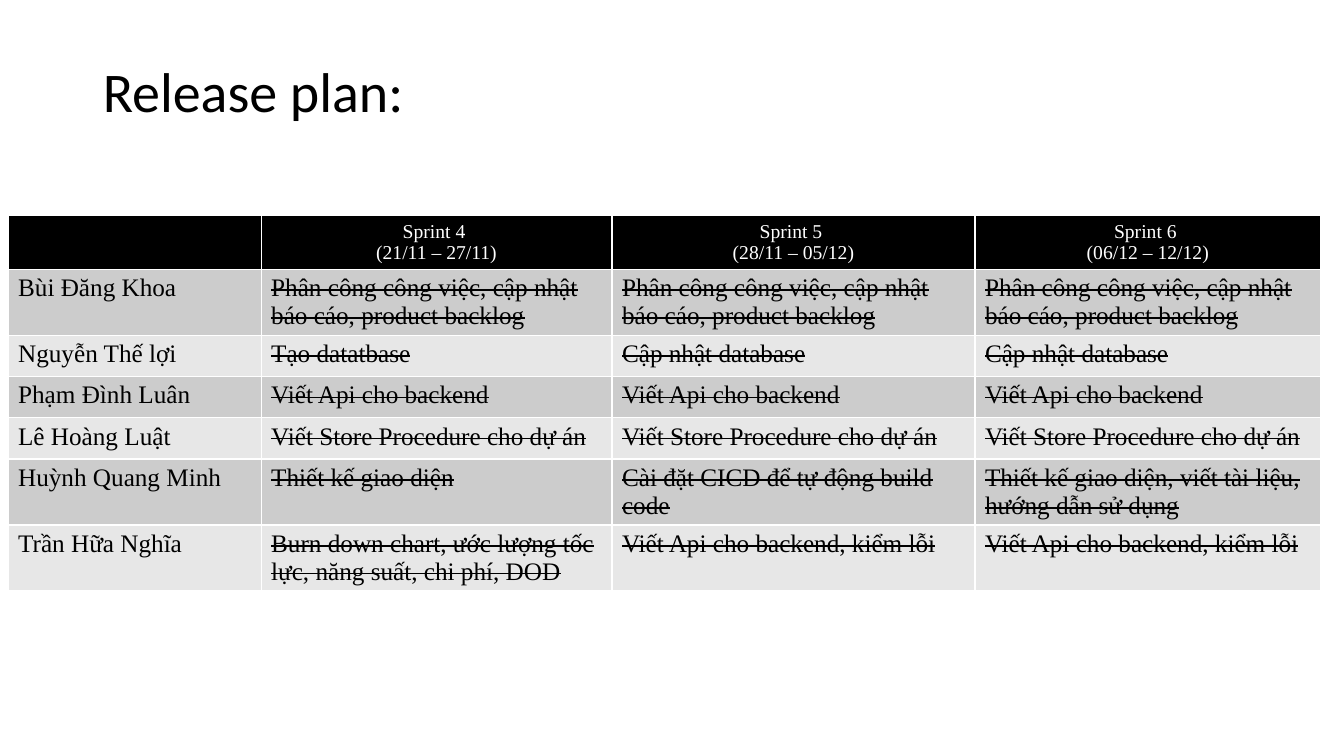
"""Build the release plan slide: a title above a table of sprint tasks per member."""
from dataclasses import dataclass

from pptx import Presentation
from pptx.dml.color import RGBColor
from pptx.enum.text import MSO_ANCHOR, MSO_AUTO_SIZE, PP_ALIGN
from pptx.util import Inches, Pt

MIDDLE = MSO_ANCHOR.MIDDLE
NO_AUTOFIT = MSO_AUTO_SIZE.NONE
LEFT, CENTER = PP_ALIGN.LEFT, PP_ALIGN.CENTER

HEADING = "Release plan:"
SPRINTS = [
    "",
    "Sprint 4 \n(21/11 – 27/11)",
    "Sprint 5 \n(28/11 – 05/12)",
    "Sprint 6 \n(06/12 – 12/12)",
]
COORDINATION = "Phân công công việc, cập nhật báo cáo, product backlog"
BACKEND = "Viết Api cho backend"
PROCEDURES = "Viết Store Procedure cho dự án"
BACKEND_FIXES = "Viết Api cho backend, kiểm lỗi"
MEMBERS = [
    ("Bùi Đăng Khoa", COORDINATION, COORDINATION, COORDINATION),
    ("Nguyễn Thế lợi", "Tạo datatbase", "Cập nhật database", "Cập nhật database"),
    ("Phạm Đình Luân", BACKEND, BACKEND, BACKEND),
    ("Lê Hoàng Luật", PROCEDURES, PROCEDURES, PROCEDURES),
    ("Huỳnh Quang Minh", "Thiết kế giao diện", "Cài đặt CICD để tự động build code",
     "Thiết kế giao diện, viết tài liệu, hướng dẫn sử dụng"),
    ("Trần Hữa Nghĩa", "Burn down chart, ước lượng tốc lực, năng suất, chi phí, DOD",
     BACKEND_FIXES, BACKEND_FIXES),
]
COLUMN_WIDTHS = [2.51, 3.48, 3.6, 3.43]
ROW_HEIGHT = 0.41


@dataclass(frozen=True)
class Theme:
    """Colours, fonts and type sizes of the slide."""
    black: RGBColor = RGBColor(0x00, 0x00, 0x00)
    white: RGBColor = RGBColor(0xFF, 0xFF, 0xFF)
    bands: tuple = (RGBColor(0xCC, 0xCC, 0xCC), RGBColor(0xE7, 0xE7, 0xE7))
    heading_font: str = "Calibri"
    table_font: str = "Times New Roman"
    heading_size: int = 40
    sprint_size: int = 14
    task_size: int = 18


THEME = Theme()


def style(paragraph, face, size, color, align):
    """Set the font and alignment of one paragraph."""
    paragraph.alignment = align
    paragraph.font.name = face
    paragraph.font.size = Pt(size)
    paragraph.font.bold = False
    paragraph.font.color.rgb = color


def fill_cell(cell, wording, background, size, color, align, done=False):
    """Write a cell, striking its wording through when the task is done."""
    cell.fill.solid()
    cell.fill.fore_color.rgb = background
    cell.text = wording
    for paragraph in cell.text_frame.paragraphs:
        style(paragraph, THEME.table_font, size, color, align)
        for run in paragraph.runs:
            if done:
                run._r.get_or_add_rPr().set("strike", "sngStrike")


def add_heading(slide):
    """Place the slide title."""
    heading = slide.shapes.title
    heading.left, heading.top = Inches(0.92), Inches(0.33)
    heading.width, heading.height = Inches(3.48), Inches(1.83)
    frame = heading.text_frame
    frame.text = HEADING
    frame.word_wrap = True
    frame.auto_size = NO_AUTOFIT
    frame.vertical_anchor = MIDDLE
    frame.margin_bottom = Inches(0.66)
    paragraph = frame.paragraphs[0]
    paragraph.line_spacing = 0.9
    style(paragraph, THEME.heading_font, THEME.heading_size, THEME.black, LEFT)


def add_plan(slide):
    """Place the table of sprints and members."""
    row_count = len(MEMBERS) + 1
    plan = slide.shapes.add_table(
        row_count, len(SPRINTS), Inches(0.08), Inches(2.14),
        Inches(sum(COLUMN_WIDTHS)), Inches(ROW_HEIGHT * row_count)).table
    for column, width in zip(plan.columns, COLUMN_WIDTHS):
        column.width = Inches(width)
    for row in plan.rows:
        row.height = Inches(ROW_HEIGHT)
    for column, sprint in enumerate(SPRINTS):
        fill_cell(plan.cell(0, column), sprint, THEME.black,
                  THEME.sprint_size, THEME.white, CENTER)
    for index, member in enumerate(MEMBERS):
        band = THEME.bands[index % len(THEME.bands)]
        for column, wording in enumerate(member):
            fill_cell(plan.cell(index + 1, column), wording, band,
                      THEME.task_size, THEME.black, LEFT, done=column > 0)


def main():
    """Create and save the presentation."""
    deck = Presentation()
    deck.slide_width, deck.slide_height = Inches(13.33), Inches(7.5)
    slide = deck.slides.add_slide(deck.slide_layouts[5])
    add_heading(slide)
    add_plan(slide)
    deck.save("out.pptx")


if __name__ == "__main__":
    main()
